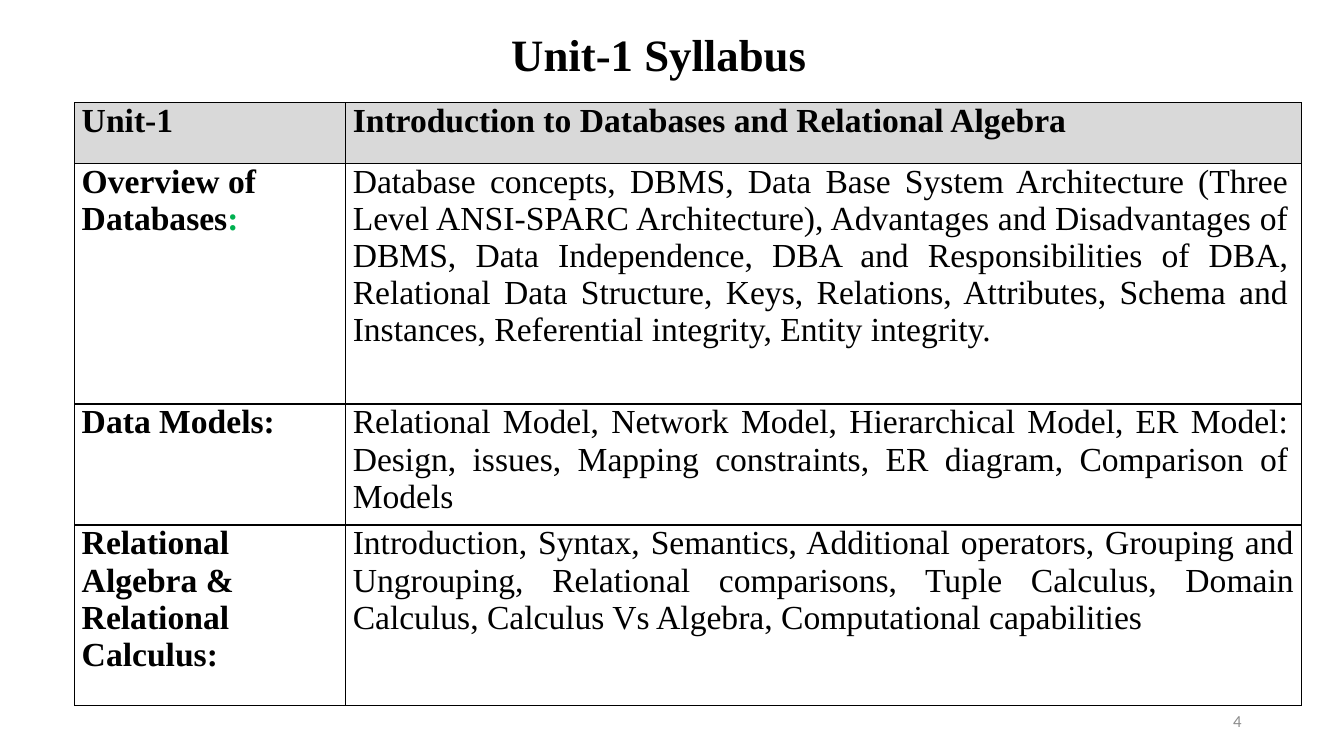
from dataclasses import dataclass

from lxml import etree
from pptx import Presentation
from pptx.dml.color import RGBColor
from pptx.enum.text import MSO_ANCHOR as Anchor, PP_ALIGN as Align
from pptx.oxml.ns import qn
from pptx.util import Cm, Pt


@dataclass(frozen=True)
class Theme:
    black: str = "000000"
    green: str = "00B050"
    grey: str = "8C8C8C"
    header_fill: str = "D9D9D9"
    serif: str = "Times New Roman"
    sans: str = "Calibri"
    title_size: int = 32
    table_size: int = 24
    number_size: int = 12


THEME = Theme()

COLUMN_WIDTHS = (6.83, 24.08)
ROW_HEIGHTS = (1.52, 6.07, 3.02, 4.55)
CELL_MARGIN = 0.18
WIDE_MARGIN = 0.32

HEADER = ("Unit-1", "Introduction to Databases and Relational Algebra")

# Topic, mark after the topic, contents, right margin of the contents
TOPICS = (
    ("Overview of Databases", ":",
     "Database concepts, DBMS, Data Base System Architecture (Three Level "
     "ANSI-SPARC Architecture), Advantages and Disadvantages of DBMS, Data "
     "Independence, DBA and Responsibilities of DBA, Relational Data "
     "Structure, Keys, Relations, Attributes, Schema and Instances, "
     "Referential integrity, Entity integrity.", WIDE_MARGIN),
    ("Data Models:", "",
     "Relational Model, Network Model, Hierarchical Model, ER Model: Design, "
     "issues, Mapping constraints, ER diagram, Comparison of Models",
     WIDE_MARGIN),
    ("Relational Algebra & Relational Calculus:", "",
     "Introduction, Syntax, Semantics, Additional operators, Grouping and "
     "Ungrouping, Relational comparisons, Tuple Calculus, Domain Calculus, "
     "Calculus Vs Algebra, Computational capabilities", CELL_MARGIN),
)


def add_run(paragraph, text, size, color=THEME.black, font=THEME.serif, bold=False):
    run = paragraph.add_run()
    run.text = text
    run.font.name = font
    run.font.size = Pt(size)
    run.font.bold = bold
    run.font.color.rgb = RGBColor.from_string(color)


def add_text(slide, left, top, width, height, align):
    """Add a middle-anchored text box and return its first paragraph."""
    box = slide.shapes.add_textbox(Cm(left), Cm(top), Cm(width), Cm(height))
    box.text_frame.word_wrap = True
    box.text_frame.vertical_anchor = Anchor.MIDDLE
    paragraph = box.text_frame.paragraphs[0]
    paragraph.alignment = align
    return paragraph


def add_borders(cell):
    properties = cell._tc.get_or_add_tcPr()
    for position, side in enumerate(("a:lnL", "a:lnR", "a:lnT", "a:lnB")):
        line = etree.Element(qn(side), w=str(Pt(1)))
        fill = etree.SubElement(line, qn("a:solidFill"))
        etree.SubElement(fill, qn("a:srgbClr"), val=THEME.black)
        properties.insert(position, line)


def fill_cell(cell, runs, align, fill=None, right_margin=CELL_MARGIN):
    """Write (text, colour, bold) runs into a bordered cell."""
    cell.margin_left = Cm(CELL_MARGIN)
    cell.margin_right = Cm(right_margin)
    cell.margin_top = cell.margin_bottom = 0
    if fill:
        cell.fill.solid()
        cell.fill.fore_color.rgb = RGBColor.from_string(fill)
    else:
        cell.fill.background()
    add_borders(cell)
    paragraph = cell.text_frame.paragraphs[0]
    paragraph.alignment = align
    for text, color, bold in runs:
        add_run(paragraph, text, THEME.table_size, color, bold=bold)


def add_syllabus(slide):
    table = slide.shapes.add_table(
        len(ROW_HEIGHTS), len(COLUMN_WIDTHS), Cm(1.88), Cm(2.59),
        Cm(sum(COLUMN_WIDTHS)), Cm(sum(ROW_HEIGHTS))).table
    table.first_row = table.horz_banding = False
    for column, width in zip(table.columns, COLUMN_WIDTHS):
        column.width = Cm(width)
    for row, height in zip(table.rows, ROW_HEIGHTS):
        row.height = Cm(height)

    for index, heading in enumerate(HEADER):
        fill_cell(table.cell(0, index), [(heading, THEME.black, True)],
                  Align.JUSTIFY, THEME.header_fill)
    for index, (topic, mark, contents, margin) in enumerate(TOPICS, start=1):
        runs = [(topic, THEME.black, True)]
        if mark:
            runs.append((mark, THEME.green, True))
        fill_cell(table.cell(index, 0), runs, Align.LEFT)
        fill_cell(table.cell(index, 1), [(contents, THEME.black, False)],
                  Align.JUSTIFY, right_margin=margin)


def main():
    presentation = Presentation()
    presentation.slide_width = Cm(33.87)
    presentation.slide_height = Cm(19.05)
    slide = presentation.slides.add_slide(presentation.slide_layouts[6])

    # Title
    title = add_text(slide, 2, 0.25, 29.21, 2.39, Align.CENTER)
    title.line_spacing = 0.9
    add_run(title, "Unit-1 Syllabus", THEME.title_size, bold=True)

    # Slide number
    number = add_text(slide, 23.92, 17.65, 7.62, 1.01, Align.RIGHT)
    add_run(number, "4", THEME.number_size, THEME.grey, THEME.sans)

    # Syllabus table
    add_syllabus(slide)

    presentation.save("out.pptx")


if __name__ == "__main__":
    main()
